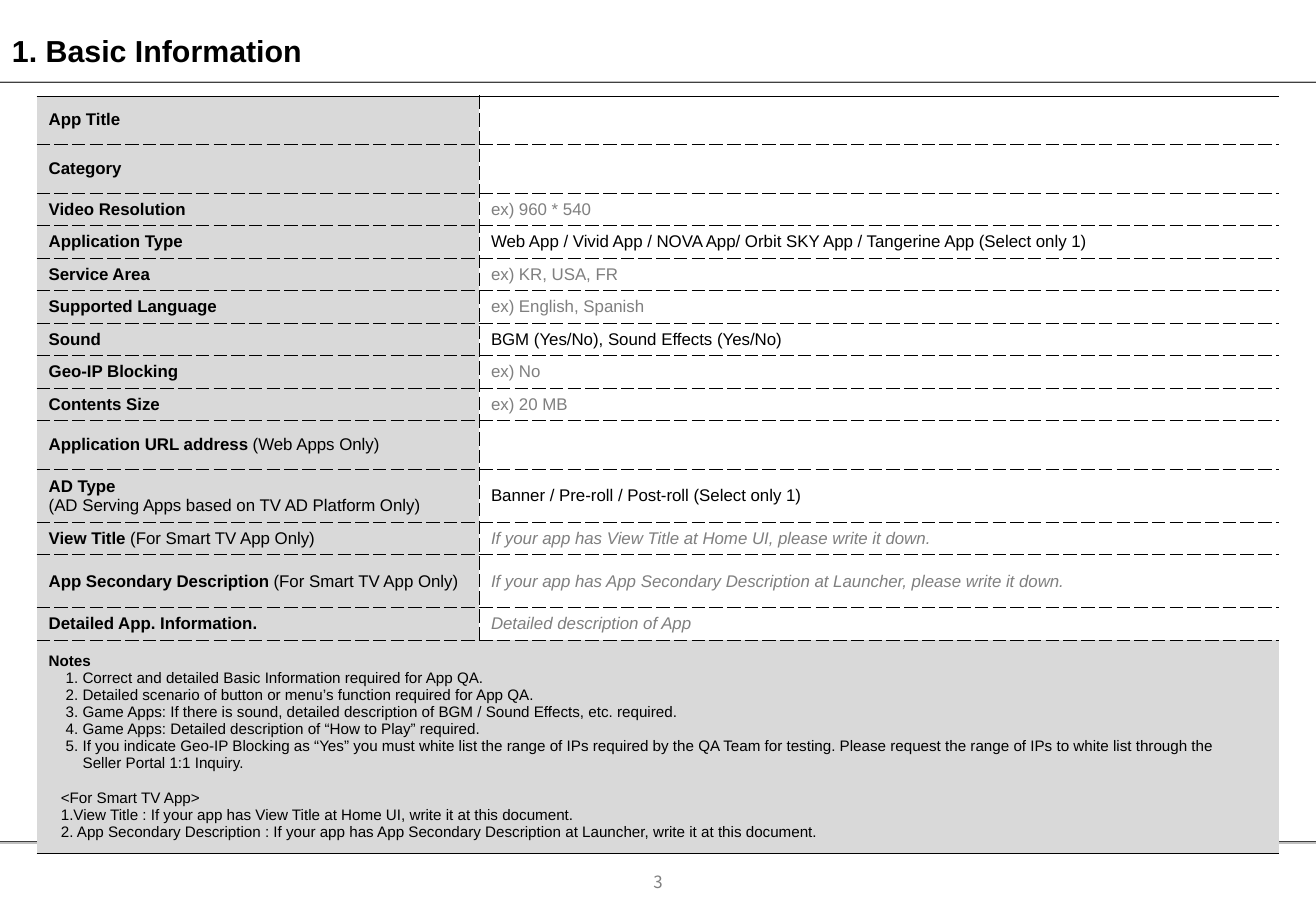
"""Build the Basic Information form slide."""
from dataclasses import dataclass

from lxml import etree
from pptx import Presentation
from pptx import util as u
from pptx.dml.color import RGBColor
from pptx.enum import shapes, text
from pptx.oxml.ns import qn

BLACK = RGBColor(0x00, 0x00, 0x00)
DARK = RGBColor(0x40, 0x40, 0x40)
GREY = RGBColor(0x7F, 0x7F, 0x7F)
LIGHT = RGBColor(0xBF, 0xBF, 0xBF)
PALE = RGBColor(0xD9, 0xD9, 0xD9)
WHITE = RGBColor(0xFF, 0xFF, 0xFF)

WIDE, HIGH = u.Inches(10.84), u.Inches(7.5)
COL, ROW = WIDE / 36, HIGH / 112
NAMES, VALUES = 12.1, 21.9
THIN, HAIR = u.Pt(0.45), u.Pt(0.11)


@dataclass
class Entry:
    name: str
    value: str = ""
    extra: str = ""
    split: bool = False
    hint: bool = True
    slant: bool = False
    rows: float = 4


@dataclass
class Note:
    text: str
    left: float = 0.28
    first: float = -0.14
    bold: bool = False
    gap: float = 0


@dataclass
class Rule:
    row: float
    color: RGBColor


TV = "(For Smart TV App Only)"
ENTRIES = [
    Entry("App Title", rows=6),
    Entry("Category", rows=6),
    Entry("Video Resolution", "ex) 960 * 540"),
    Entry("Application Type",
          "Web App / Vivid App / NOVA App/ Orbit SKY App / Tangerine App (Select only 1)",
          hint=False),
    Entry("Service Area", "ex) KR, USA, FR"),
    Entry("Supported Language", "ex) English, Spanish"),
    Entry("Sound", "BGM (Yes/No), Sound Effects (Yes/No)", hint=False),
    Entry("Geo-IP Blocking", "ex) No"),
    Entry("Contents Size", "ex) 20 MB"),
    Entry("Application URL address ", extra="(Web Apps Only)", rows=6),
    Entry("AD Type", "Banner / Pre-roll / Post-roll (Select only 1)",
          "(AD Serving Apps based on TV AD Platform Only)",
          split=True, hint=False, rows=6.4),
    Entry("View Title ", "If your app has View Title at Home UI, please write it down.",
          TV, slant=True),
    Entry("App Secondary Description ",
          "If your app has App Secondary Description at Launcher, please write it down.",
          TV, slant=True, rows=6.5),
    Entry("Detailed App. Information.", "Detailed description of App", slant=True),
]
NOTES = [
    Note("Notes", 0, 0, bold=True),
    Note("1. Correct and detailed Basic Information required for App QA."),
    Note("2. Detailed scenario of button or menu’s function required for App QA."),
    Note("3. Game Apps: If there is sound, detailed description of BGM / Sound Effects, "
         "etc. required."),
    Note("4. Game Apps: Detailed description of “How to Play” required."),
    Note("5. If you indicate Geo-IP Blocking as “Yes” you must white list the range of IPs "
         "required by the QA Team for testing. Please request the range of IPs to white list "
         "through the"),
    Note("Seller Portal 1:1 Inquiry.", first=0),
    Note("<For Smart TV App>", 0.1, 0, gap=10.5),
    Note("1.View Title : If your app has View Title at Home UI, write it at this document.",
         0.1, 0),
    Note("2. App Secondary Description : If your app has App Secondary Description at "
         "Launcher, write it at this document.", 0.1, 0),
]
NOTE_ROWS = 26.2
RULES = [Rule(10.15, DARK), Rule(103.5, DARK), Rule(10, LIGHT), Rule(103.65, LIGHT)]


def style(run, size: float, color: RGBColor = BLACK, bold: bool = False,
          slant: bool = False, face: str = "Arial") -> None:
    font = run.font
    font.name, font.size, font.bold, font.italic = face, u.Pt(size), bold, slant
    font.color.rgb = color


def border(cell, sides: dict, fill: RGBColor) -> None:
    props = cell._tc.get_or_add_tcPr()
    for side in "LRTB":
        width = sides.get(side)
        line = etree.SubElement(props, qn(f"a:ln{side}"), w=str(width or 0))
        if width is None:
            etree.SubElement(line, qn("a:noFill"))
            continue
        paint = etree.SubElement(line, qn("a:solidFill"))
        etree.SubElement(paint, qn("a:srgbClr"), val=str(BLACK))
        dash = "dash" if width == THIN else "solid"
        etree.SubElement(line, qn("a:prstDash"), val=dash)
    cell.fill.solid()
    cell.fill.fore_color.rgb = fill
    cell.vertical_anchor = text.MSO_ANCHOR.MIDDLE


def draw_rule(slide, rule: Rule) -> None:
    y = int(rule.row * ROW)
    line = slide.shapes.add_connector(shapes.MSO_CONNECTOR.STRAIGHT, 0, y, WIDE, y)
    line.line.color.rgb = rule.color
    line.line.width = u.Pt(0.75)
    etree.SubElement(line._element.spPr, qn("a:effectLst"))


def draw_text(slide, words: str, box: tuple, size: float, color: RGBColor,
              bold: bool, face: str, align) -> None:
    x, y, w, h = box
    shape = slide.shapes.add_textbox(int(x * COL), int(y * ROW), int(w * COL), int(h * ROW))
    frame = shape.text_frame
    frame.word_wrap = True
    frame.vertical_anchor = text.MSO_ANCHOR.MIDDLE
    frame.text = words
    para = frame.paragraphs[0]
    para.alignment = align
    style(para.runs[0], size, color, bold, face=face)


def fill_entry(table, pos: int, entry: Entry) -> None:
    label, value = table.cell(pos, 0), table.cell(pos, 1)
    top = THIN if pos else HAIR
    border(label, {"R": THIN, "T": top, "B": THIN}, PALE)
    border(value, {"L": THIN, "T": top, "B": THIN}, WHITE)
    frame = label.text_frame
    frame.text = entry.name
    para = frame.paragraphs[0]
    style(para.runs[0], 10, bold=True)
    if entry.extra:
        run = (frame.add_paragraph() if entry.split else para).add_run()
        run.text = entry.extra
        style(run, 10)
    if entry.value:
        value.text_frame.text = entry.value
        run = value.text_frame.paragraphs[0].runs[0]
        style(run, 10, GREY if entry.hint else BLACK, slant=entry.slant)


def fill_notes(table, pos: int) -> None:
    cell = table.cell(pos, 0)
    cell.merge(table.cell(pos, 1))
    for part in (cell, table.cell(pos, 1)):
        border(part, {"T": THIN, "B": HAIR}, PALE)
    frame = cell.text_frame
    frame.text = "\n".join(note.text for note in NOTES)
    for para, note in zip(frame.paragraphs, NOTES):
        props = para._p.get_or_add_pPr()
        props.set("marL", str(u.Inches(note.left)))
        props.set("indent", str(u.Inches(note.first)))
        if note.gap:
            para.space_before = u.Pt(note.gap)
        style(para.runs[0], 9, bold=note.bold)


def draw_form(slide) -> None:
    sizes = [entry.rows for entry in ENTRIES] + [NOTE_ROWS]
    frame = slide.shapes.add_table(len(sizes), 2, int(COL), int(11.75 * ROW),
                                   int((NAMES + VALUES) * COL), int(sum(sizes) * ROW))
    table = frame.table
    table.first_row = table.horz_banding = False
    for column, share in zip(table.columns, (NAMES, VALUES)):
        column.width = int(share * COL)
    for row, share in zip(table.rows, sizes):
        row.height = int(share * ROW)
    for pos, entry in enumerate(ENTRIES):
        fill_entry(table, pos, entry)
    fill_notes(table, len(ENTRIES))


def main() -> None:
    deck = Presentation()
    deck.slide_width, deck.slide_height = WIDE, HIGH
    slide = deck.slides.add_slide(deck.slide_layouts[6])
    for rule in RULES:
        draw_rule(slide, rule)
    draw_text(slide, "3", (16.2, 106.8, 3.6, 3.3), 10, GREY, False,
              "Noto Sans CJK KR", text.PP_ALIGN.CENTER)
    draw_form(slide)
    draw_text(slide, "1. Basic Information", (0, 3.2, 28.2, 6), 18, BLACK, True,
              "Arial", text.PP_ALIGN.LEFT)
    deck.save("out.pptx")


if __name__ == "__main__":
    main()
